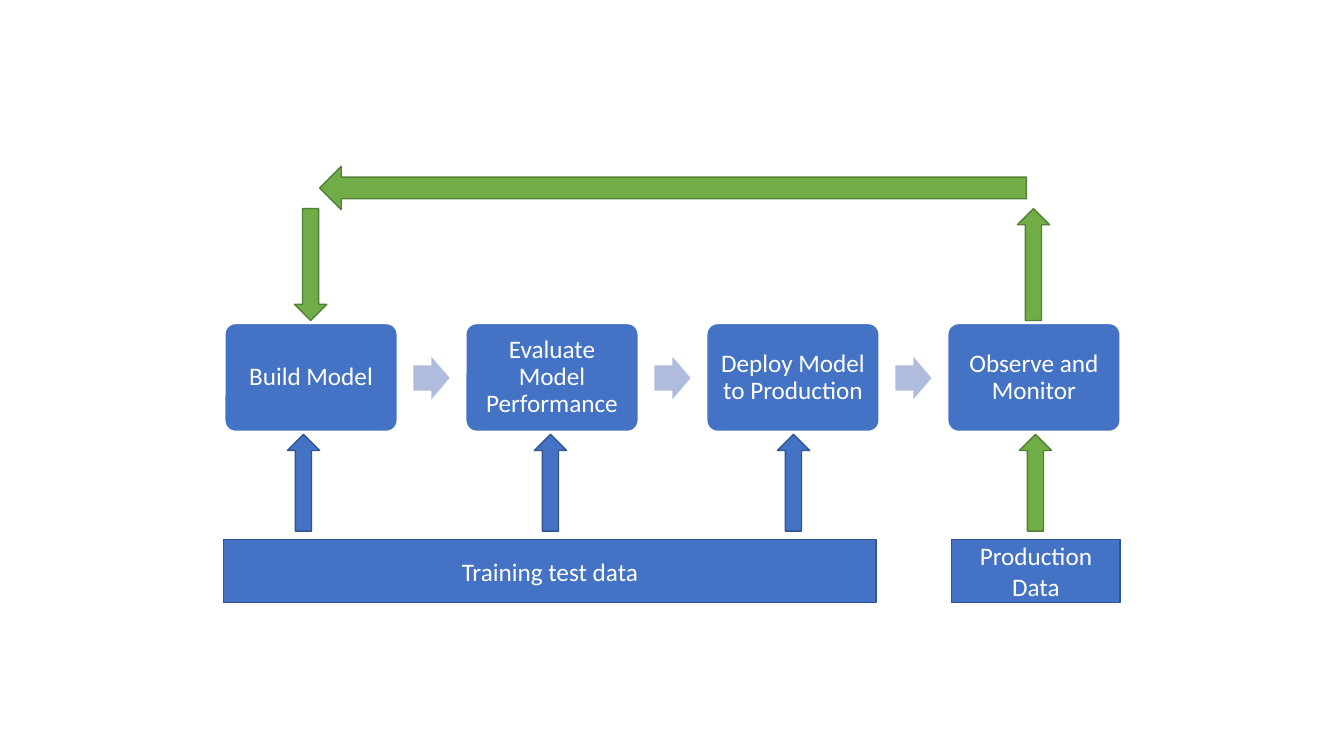
from pptx import Presentation
from pptx import util as u
from pptx.dml import color
from pptx.enum import shapes, text

COLORS = {
    "blue": "4472C4", "blue_edge": "325491",
    "green": "70AD47", "green_edge": "538035",
    "step_arrow": "B0BCDE", "white": "FFFFFF",
}
KIND = shapes.MSO_SHAPE

deck = Presentation()
deck.slide_width, deck.slide_height = u.Inches(13.33), u.Inches(7.5)
slide = deck.slides.add_slide(deck.slide_layouts[6])


def add_block(kind, left, top, width, height, fill, edge=None):
    block = slide.shapes.add_shape(kind, *map(u.Inches, (left, top, width, height)))
    block.shadow.inherit = False
    block.fill.solid()
    block.fill.fore_color.rgb = color.RGBColor.from_string(COLORS[fill])
    if edge:
        block.line.color.rgb = color.RGBColor.from_string(COLORS[edge])
        block.line.width = u.Pt(1)
    else:
        block.line.fill.background()
    return block


def add_label(block, wording, spacing=1.0):
    frame = block.text_frame
    frame.word_wrap = True
    frame.vertical_anchor = text.MSO_ANCHOR.MIDDLE
    paragraph = frame.paragraphs[0]
    paragraph.alignment = text.PP_ALIGN.CENTER
    paragraph.line_spacing = spacing
    run = paragraph.add_run()
    run.text = wording
    run.font.name, run.font.size = "Calibri", u.Pt(18)
    run.font.color.rgb = color.RGBColor.from_string(COLORS["white"])


first_column, column_pitch = 2.23, 2.39
step_top, step_width, step_height = 3.21, 1.71, 1.07
step_gap = 0.16
steps = ["Build Model", "Evaluate Model Performance",
         "Deploy Model to Production", "Observe and Monitor"]

for column, wording in enumerate(steps):
    left = first_column + column * column_pitch
    step = add_block(KIND.ROUNDED_RECTANGLE, left, step_top, step_width,
                     step_height, "blue", "white")
    step.adjustments[0] = 0.1
    add_label(step, wording, 0.9)
    if column < len(steps) - 1:
        next_arrow = add_block(KIND.RIGHT_ARROW, left + step_width + step_gap,
                               3.54, 0.36, 0.42, "step_arrow")
        next_arrow.adjustments[0] = 0.6

data_top, data_height = 5.35, 0.63
for wording, left, width in [("Training test data", 2.22, 6.47),
                             ("Production Data", 9.44, 1.67)]:
    data_source = add_block(KIND.RECTANGLE, left, data_top, width, data_height,
                            "blue", "blue_edge")
    add_label(data_source, wording)

arrow_width = 0.32
for left, hue in [(2.85, "blue"), (5.3, "blue"), (7.71, "blue"), (10.11, "green")]:
    add_block(KIND.UP_ARROW, left, 4.31, arrow_width, 0.96, hue, hue + "_edge")

for kind, left, top, width, height in [
    (KIND.UP_ARROW, 10.09, 2.07, arrow_width, 1.11),
    (KIND.LEFT_ARROW, 3.17, 1.65, 7.01, 0.43),
    (KIND.DOWN_ARROW, 2.92, 2.07, arrow_width, 1.11),
]:
    add_block(kind, left, top, width, height, "green", "green_edge")

deck.save("out.pptx")
